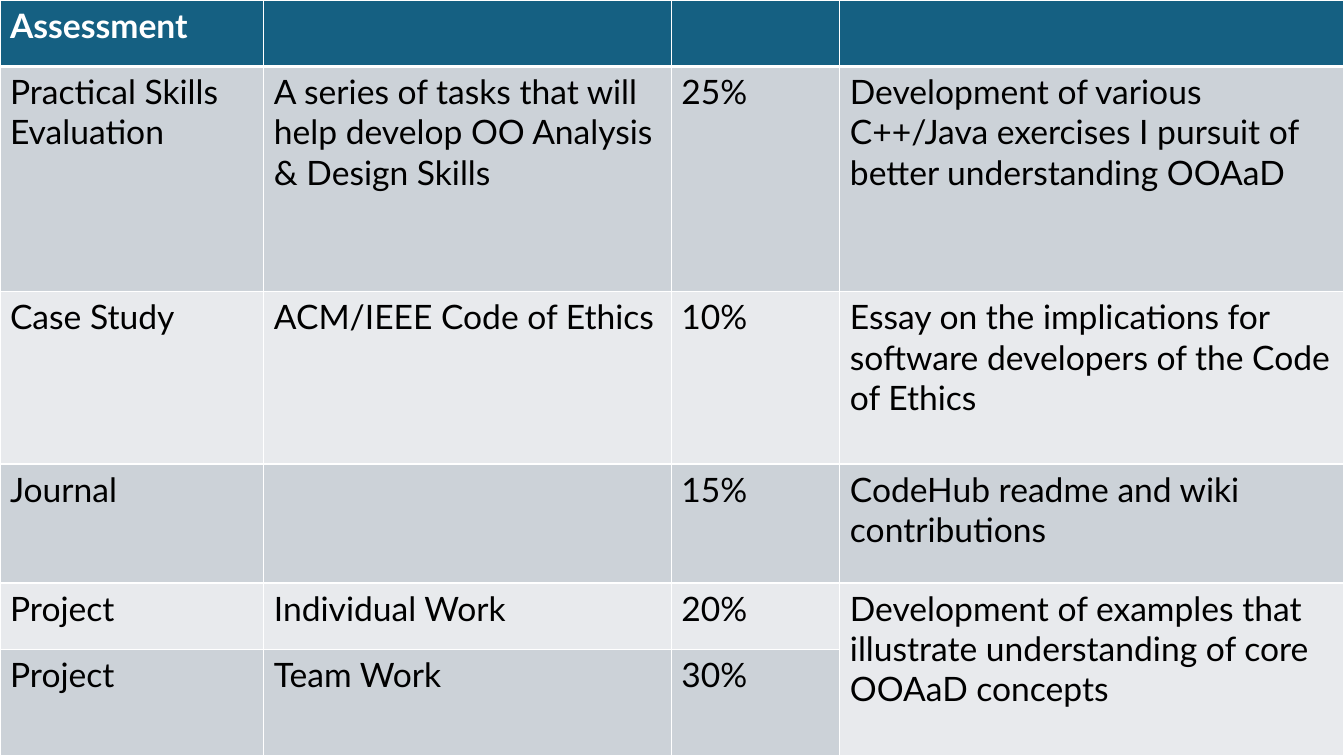
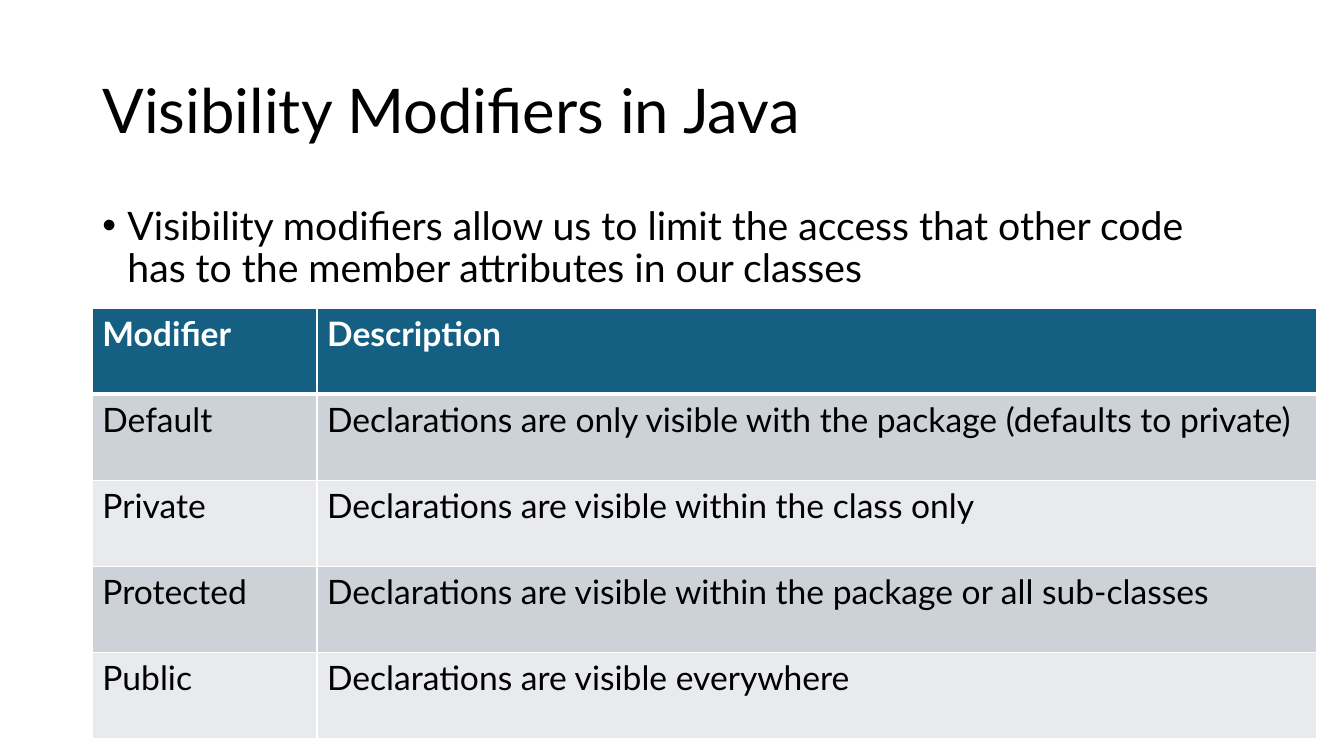
from lxml.etree import SubElement
from pptx import Presentation
from pptx.dml.color import RGBColor
from pptx.enum.text import MSO_ANCHOR, MSO_AUTO_SIZE, PP_ALIGN
from pptx.oxml.ns import qn
from pptx.util import Pt

FONT = "Lato"
COLORS = {
    "text": "000000",
    "header": "156082",
    "header_text": "FFFFFF",
    "band_dark": "CCD2D8",
    "band_light": "E8EAED",
    "border": "FFFFFF",
}
TITLE_ONLY, BLANK = 5, 6
SLIDE_WIDTH, SLIDE_HEIGHT = 960, 540
MARGIN = 66
CONTENT_WIDTH = SLIDE_WIDTH - 2 * MARGIN
TABLE_TEXT_SIZE = 24
THIN, THICK = 1, 3

ASSESSMENT = {
    "left": 0,
    "top": 0,
    "columns": [188.5, 291, 120.5, 360],
    "heights": [47.5, 161, 123, 85, 47.5, 76],
    "rows": [
        ("Assessment", "", "", ""),
        ("Practical Skills Evaluation",
         "A series of tasks that will help develop OO Analysis & Design Skills",
         "25%",
         "Development of various C++/Java exercises I pursuit of better understanding OOAaD"),
        ("Case Study", "ACM/IEEE Code of Ethics", "10%",
         "Essay on the implications for software developers of the Code of Ethics"),
        ("Journal", "", "15%", "CodeHub readme and wiki contributions"),
        ("Project", "Individual Work", "20%",
         "Development of examples that illustrate understanding of core OOAaD concepts"),
        ("Project", "Team Work", "30%", ""),
    ],
    "merges": [((4, 3), (5, 3))],
}

MODIFIERS_TITLE = "Visibility Modifiers in Java"
MODIFIERS_BULLET = ("Visibility modifiers allow us to limit the access that other code "
                    "has to the member attributes in our classes")
MODIFIERS = {
    "left": MARGIN,
    "top": 220,
    "columns": [160.5, 714],
    "heights": [61.5] * 5,
    "rows": [
        ("Modifier", "Description"),
        ("Default", "Declarations are only visible with the package (defaults to private)"),
        ("Private", "Declarations are visible within the class only"),
        ("Protected", "Declarations are visible within the package or all sub-classes"),
        ("Public", "Declarations are visible everywhere"),
    ],
    "merges": [],
}


def color(name):
    return RGBColor.from_string(COLORS[name])


def add_run(paragraph, text, size, color_name="text", bold=False):
    run = paragraph.add_run()
    run.text = text
    run.font.name = FONT
    run.font.size = Pt(size)
    run.font.bold = bold
    run.font.color.rgb = color(color_name)


def place(shape, left, top, width, height):
    shape.left, shape.top, shape.width, shape.height = map(Pt, (left, top, width, height))


def set_borders(cell, top, bottom):
    properties = cell._tc.get_or_add_tcPr()
    for side, width in (("L", THIN), ("R", THIN), ("T", top), ("B", bottom)):
        line = SubElement(properties, qn(f"a:ln{side}"), w=str(Pt(width)))
        fill = SubElement(line, qn("a:solidFill"))
        SubElement(fill, qn("a:srgbClr"), val=COLORS["border"])


def style_cell(cell, row_index):
    """Draw the borders first: the fill has to follow them in the XML."""
    set_borders(cell, THICK if row_index == 1 else THIN, THICK if row_index == 0 else THIN)
    if row_index == 0:
        fill_name = "header"
    else:
        fill_name = "band_dark" if row_index % 2 else "band_light"
    cell.fill.solid()
    cell.fill.fore_color.rgb = color(fill_name)


def add_table(slide, content):
    rows, columns, heights = content["rows"], content["columns"], content["heights"]
    frame = slide.shapes.add_table(
        len(rows), len(columns), Pt(content["left"]), Pt(content["top"]),
        Pt(sum(columns)), Pt(sum(heights)))
    table = frame.table
    table.horz_banding = False
    for column, width in zip(table.columns, columns):
        column.width = Pt(width)
    for row_index, texts in enumerate(rows):
        is_header = row_index == 0
        table.rows[row_index].height = Pt(heights[row_index])
        for column_index, text in enumerate(texts):
            cell = table.cell(row_index, column_index)
            style_cell(cell, row_index)
            if text:
                add_run(cell.text_frame.paragraphs[0], text, TABLE_TEXT_SIZE,
                        "header_text" if is_header else "text", is_header)
    for first, last in content["merges"]:
        table.cell(*first).merge(table.cell(*last))


def add_title(slide, text):
    title = slide.shapes.title
    place(title, MARGIN, 29, CONTENT_WIDTH, 104)
    frame = title.text_frame
    frame.auto_size = MSO_AUTO_SIZE.NONE
    frame.vertical_anchor = MSO_ANCHOR.MIDDLE
    paragraph = frame.paragraphs[0]
    paragraph.alignment = PP_ALIGN.LEFT
    paragraph.line_spacing = 0.9
    add_run(paragraph, text, 44)


def add_bullet(slide, text):
    box = slide.shapes.add_textbox(Pt(MARGIN), Pt(144), Pt(CONTENT_WIDTH), Pt(76))
    box.text_frame.word_wrap = True
    paragraph = box.text_frame.paragraphs[0]
    paragraph.line_spacing = 0.9
    paragraph.space_before = Pt(10)
    properties = paragraph._p.get_or_add_pPr()
    properties.set("marL", str(Pt(18)))
    properties.set("indent", str(-Pt(18)))
    SubElement(properties, qn("a:buFont"), typeface="Arial")
    SubElement(properties, qn("a:buChar"), char="•")
    add_run(paragraph, text, 28)


def main():
    presentation = Presentation()
    presentation.slide_width = Pt(SLIDE_WIDTH)
    presentation.slide_height = Pt(SLIDE_HEIGHT)
    layouts = presentation.slide_layouts

    assessment_slide = presentation.slides.add_slide(layouts[BLANK])
    add_table(assessment_slide, ASSESSMENT)

    modifiers_slide = presentation.slides.add_slide(layouts[TITLE_ONLY])
    add_title(modifiers_slide, MODIFIERS_TITLE)
    add_bullet(modifiers_slide, MODIFIERS_BULLET)
    add_table(modifiers_slide, MODIFIERS)

    presentation.save("out.pptx")


if __name__ == "__main__":
    main()
